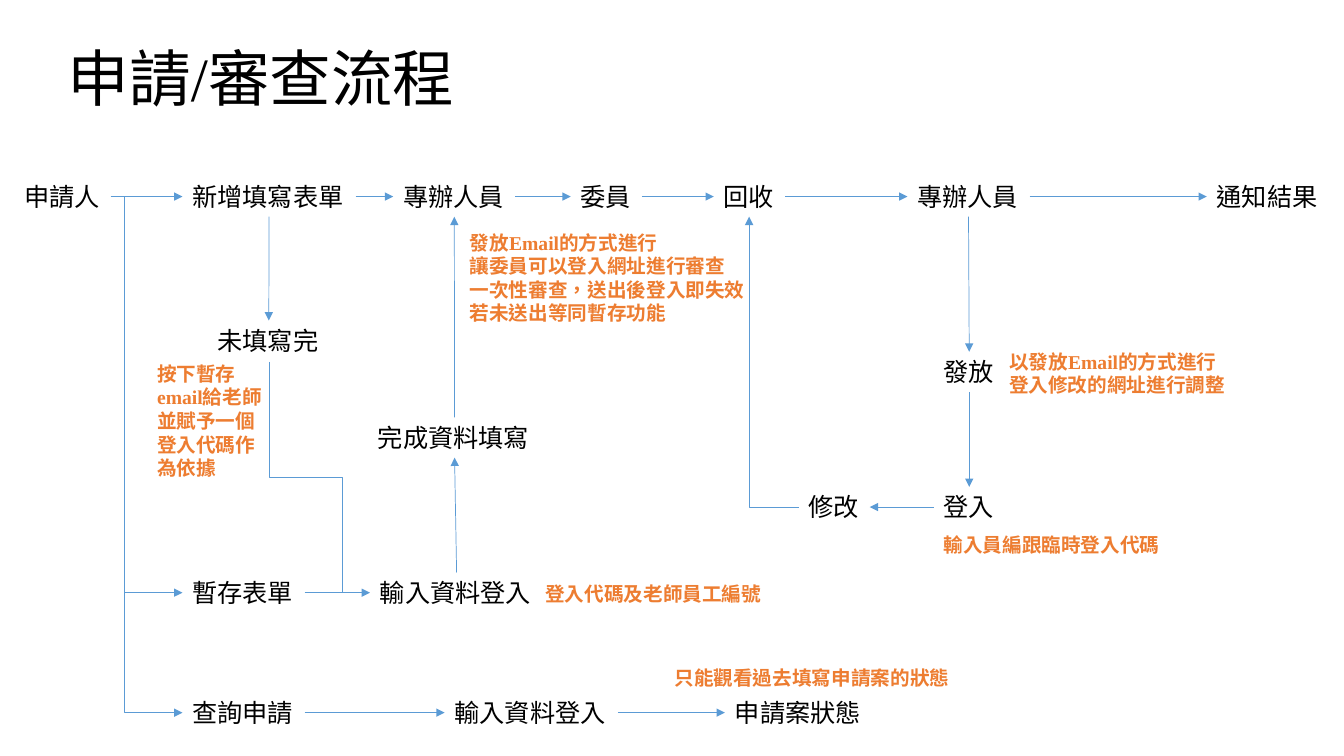
from lxml import etree
from pptx import Presentation
from pptx.dml.color import RGBColor
from pptx.enum.lang import MSO_LANGUAGE_ID
from pptx.enum.shapes import MSO_CONNECTOR
from pptx.enum.text import MSO_ANCHOR, MSO_AUTO_SIZE, PP_ALIGN
from pptx.oxml.ns import qn
from pptx.util import Inches, Pt

STRAIGHT, ELBOW = MSO_CONNECTOR.STRAIGHT, MSO_CONNECTOR.ELBOW
LEFT, JUSTIFY = PP_ALIGN.LEFT, PP_ALIGN.JUSTIFY
MIDDLE = MSO_ANCHOR.MIDDLE
FIT_SHAPE, NO_FIT = MSO_AUTO_SIZE.SHAPE_TO_FIT_TEXT, MSO_AUTO_SIZE.NONE
ZH_TW = MSO_LANGUAGE_ID.TRADITIONAL_CHINESE
TOP_SIDE, LEFT_SIDE, BOTTOM_SIDE, RIGHT_SIDE = range(4)

FONT = "Times New Roman"
BLACK, ORANGE, BLUE = "000000", "ED7D31", "5B9BD5"
NODE_H, CHAR_W, PADDING = 0.4, 0.253, 0.2

# Tops of the rows of the flow
MAIN, UNFINISHED, ISSUE, DONE, LOGIN, SAVED, QUERY = (
    1.75, 3.18, 3.49, 4.14, 4.83, 5.68, 6.87)

NODES = {
    "applicant": ("申請人", 0.14, MAIN),
    "new form": ("新增填寫表單", 1.81, MAIN),
    "officer": ("專辦人員", 3.9, MAIN),
    "committee": ("委員", 5.66, MAIN),
    "collect": ("回收", 7.08, MAIN),
    "officer 2": ("專辦人員", 9, MAIN),
    "notify": ("通知結果", 11.97, MAIN),
    "unfinished": ("未填寫完", 2.06, UNFINISHED),
    "issue": ("發放", 9.26, ISSUE),
    "done": ("完成資料填寫", 3.65, DONE),
    "revise": ("修改", 7.92, LOGIN),
    "login": ("登入", 9.26, LOGIN),
    "saved form": ("暫存表單", 1.81, SAVED),
    "saved login": ("輸入資料登入", 3.67, SAVED),
    "query": ("查詢申請", 1.81, QUERY),
    "query login": ("輸入資料登入", 4.41, QUERY),
    "status": ("申請案狀態", 7.19, QUERY),
}

RIGHTWARD = [
    ("applicant", "new form", "officer", "committee", "collect", "officer 2", "notify"),
    ("saved form", "saved login"),
    ("query", "query login", "status"),
]
LEFTWARD = [("login", "revise")]
DOWNWARD = [("officer 2", "issue", "login"), ("new form", "unfinished")]
UPWARD = [("saved login", "done", "officer")]

# Lines, left, top, width, height, format
NOTES = [
    (["發放Email的方式進行", "讓委員可以登入網址進行審查",
      "一次性審查，送出後登入即失效", "若未送出等同暫存功能"], 4.56, 2.24, 2.95, 1.04, {}),
    (["以發放Email的方式進行", "登入修改的網址進行調整"], 9.91, 3.42, 2.36, 0.57, {}),
    (["輸入員編跟臨時登入代碼"], 9.26, 5.24, 2.36, 0.34, {}),
    (["只能觀看過去填寫申請案的狀態"], 6.59, 6.56, 2.95, 0.34, {"align": JUSTIFY}),
    (["按下暫存", "email給老師", "並賦予一個", "登入代碼作", "為依據"],
     1.46, 3.54, 1.25, 1.28, {"align": JUSTIFY, "wrap": True}),
    (["登入代碼及老師員工編號"], 5.31, 5.72, 2.36, 0.34, {"align": JUSTIFY}),
]


def rgb(code):
    return RGBColor.from_string(code)


def write(sp, lines, size=18, color=BLACK, bold=False, align=LEFT, wrap=False,
          fit=FIT_SHAPE, spacing=None):
    tf = sp.text_frame
    tf.word_wrap = wrap
    tf.auto_size = fit
    for i, line in enumerate(lines):
        p = tf.add_paragraph() if i else tf.paragraphs[0]
        p.alignment = align
        p.line_spacing = spacing
        r = p.add_run()
        r.text = line
        font = r.font
        font.name, font.size, font.bold = FONT, Pt(size), bold
        font.color.rgb = rgb(color)
        font.language_id = ZH_TW


def add_text(slide, lines, left, top, width, height, **fmt):
    sp = slide.shapes.add_textbox(*map(Inches, (left, top, width, height)))
    write(sp, lines, **fmt)
    return sp


def add_node(slide, text, left, top):
    width = PADDING + CHAR_W * len(text)
    return add_text(slide, [text], left, top, width, NODE_H)


def add_line(slide, kind, begin, end, arrow=True):
    line = slide.shapes.add_connector(kind, *map(Inches, begin + end))
    line.line.color.rgb = rgb(BLUE)
    line.line.width = Pt(0.5)
    spPr = line._element.spPr
    if arrow:
        etree.SubElement(spPr.find(qn("a:ln")), qn("a:tailEnd"), type="triangle")
    etree.SubElement(spPr, qn("a:effectLst"))
    return line


def add_chain(slide, nodes, names, out_side, in_side):
    """Join each named node to the next with a straight arrow."""
    for source, target in zip(names, names[1:]):
        line = add_line(slide, STRAIGHT, (0, 0), (1, 1))
        line.begin_connect(nodes[source], out_side)
        line.end_connect(nodes[target], in_side)


def add_elbow(slide, begin, end, preset="bentConnector3", bend=None, turn=0, arrow=True):
    """Bent line; begin and end are its corners before a turn in degrees."""
    line = add_line(slide, ELBOW, begin, end, arrow)
    spPr = line._element.spPr
    geom = spPr.find(qn("a:prstGeom"))
    geom.set("prst", preset)
    if bend is not None:
        etree.SubElement(geom.find(qn("a:avLst")), qn("a:gd"),
                         name="adj1", fmla=f"val {round(bend * 100000)}")
    if turn:
        spPr.find(qn("a:xfrm")).set("rot", str(turn * 60000))


def add_title(slide, text):
    title = slide.shapes.title
    title.left, title.top, title.width, title.height = map(Inches, (0.57, 0, 10.93, 1.62))
    title.text_frame.vertical_anchor = MIDDLE
    write(title, [text], size=44, wrap=True, fit=NO_FIT, spacing=0.9)


def main():
    prs = Presentation()
    prs.slide_width, prs.slide_height = Inches(13.33), Inches(7.5)
    slide = prs.slides.add_slide(prs.slide_layouts[5])
    add_title(slide, "申請/審查流程")

    nodes = {name: add_node(slide, *node) for name, node in NODES.items()}
    for chains, out_side, in_side in (
            (RIGHTWARD, RIGHT_SIDE, LEFT_SIDE), (LEFTWARD, LEFT_SIDE, RIGHT_SIDE),
            (DOWNWARD, BOTTOM_SIDE, TOP_SIDE), (UPWARD, TOP_SIDE, BOTTOM_SIDE)):
        for names in chains:
            add_chain(slide, nodes, names, out_side, in_side)

    half = NODE_H / 2
    for row in (SAVED, QUERY):
        add_elbow(slide, (1.1, MAIN + half), (1.81, row + half), bend=0.195)
    add_elbow(slide, (7.43, MAIN + NODE_H), (7.92, LOGIN + half),
              preset="bentConnector2", turn=180)
    add_elbow(slide, (4.18, 4.37), (1.89, 5.1), turn=270, arrow=False)

    for lines, left, top, width, height, fmt in NOTES:
        add_text(slide, lines, left, top, width, height,
                 size=14, color=ORANGE, bold=True, **fmt)
    prs.save("out.pptx")


if __name__ == "__main__":
    main()
